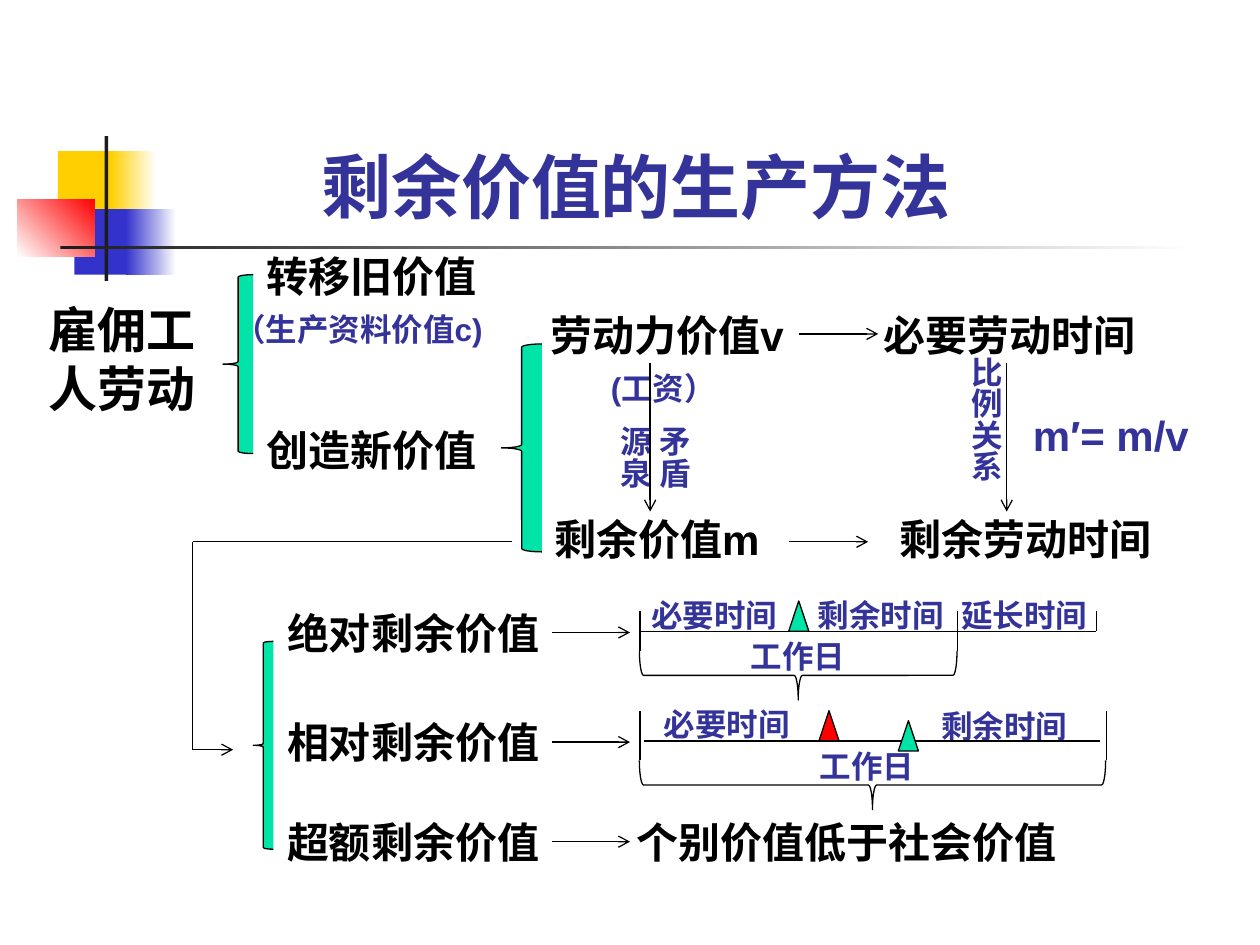
"""Build the slide on the methods of producing surplus value."""
from dataclasses import dataclass
from typing import NamedTuple, Optional

from lxml import etree
from pptx import Presentation
from pptx.dml.color import RGBColor
from pptx.enum import shapes, text
from pptx.oxml import ns
from pptx.util import Inches, Pt


class Style(NamedTuple):
    size: int
    color: str
    height: float


@dataclass(frozen=True)
class Theme:
    font: str = "Arial"
    ink: str = "000000"
    green: str = "00E4A8"
    red: str = "FF0000"
    gold: str = "FFCF01"
    blue: str = "3333CC"
    charcoal: str = "1C1C1C"
    white: str = "FFFFFF"
    line_width: float = 0.75
    title: Style = Style(40, "333399", 0.77)
    worker: Style = Style(28, "000000", 1.04)
    term: Style = Style(24, "000000", 0.5)
    formula: Style = Style(24, "333399", 0.5)
    note: Style = Style(18, "333399", 0.4)


THEME = Theme()


class Label(NamedTuple):
    wording: str
    left: float
    top: float
    width: float
    style: Style = THEME.term
    centered: bool = False
    vertical_height: Optional[float] = None


class Stroke(NamedTuple):
    x1: float
    y1: float
    x2: float
    y2: float
    arrow: bool = False


class Figure(NamedTuple):
    kind: shapes.MSO_SHAPE
    left: float
    top: float
    width: float
    height: float
    fill: Optional[str] = None
    rotation: int = 0


class Block(NamedTuple):
    left: float
    top: float
    width: float
    height: float
    start: str
    end: Optional[str] = None
    angle: int = 0


BLOCKS = [
    Block(0.46, 1.2, 0.48, 0.52, THEME.gold),
    Block(0.88, 1.2, 0.36, 0.52, THEME.gold, THEME.white),
    Block(0.59, 1.66, 0.46, 0.52, THEME.blue),
    Block(1, 1.66, 0.4, 0.52, THEME.blue, THEME.white),
    Block(0.14, 1.58, 0.61, 0.46, THEME.white, THEME.red, 45),
    Block(0.83, 1.08, 0.03, 1.15, THEME.charcoal),
    Block(0.48, 1.95, 9, 0.03, THEME.charcoal, THEME.white),
]
TITLE = Label("剩余价值的生产方法", 2.45, 1.09, 5.3, THEME.title)
LABELS = [
    Label("雇佣工\n人劳动", 0.29, 2.33, 1.42, THEME.worker),
    Label("转移旧价值", 2.02, 1.94, 1.92),
    Label("（生产资料价值c)", 1.76, 2.41, 2.3, THEME.note),
    Label("创造新价值", 2.02, 3.32, 1.92),
    Label("劳动力价值v", 4.27, 2.41, 2.13),
    Label("(工资）", 4.72, 2.88, 1.09, THEME.note, True),
    Label("剩余价值m", 4.3, 4.03, 1.91),
    Label("必要劳动时间", 6.91, 2.41, 2.22),
    Label("剩余劳动时间", 7.04, 4.03, 2.22),
    Label("源泉", 4.74, 3.28, 0.5, THEME.note, True, 0.71),
    Label("矛盾", 5.05, 3.28, 0.5, THEME.note, True, 0.71),
    Label("比例关系", 7.53, 2.73, 0.5, THEME.note, True, 1.42),
    Label("m′= m/v", 8.1, 3.2, 1.53, THEME.formula),
    Label("个别价值低于社会价值", 4.95, 6.43, 3.56),
    Label("必要时间", 5.07, 4.68, 1.25, THEME.note),
    Label("剩余时间", 6.39, 4.68, 1.22, THEME.note),
    Label("延长时间", 7.53, 4.68, 1.22, THEME.note),
    Label("工作日", 5.86, 5.01, 0.97, THEME.note),
    Label("必要时间", 5.17, 5.55, 1.25, THEME.note),
    Label("剩余时间", 7.37, 5.56, 1.22, THEME.note),
    Label("工作日", 6.41, 5.88, 0.97, THEME.note),
]
METHODS = [
    Label(kind + "剩余价值", 2.18, top, 2.2)
    for kind, top in (("绝对", 4.77), ("相对", 5.64), ("超额", 6.43))
]
STROKES = [
    *(Stroke(x, 2.88, x, 4.06, True) for x in (5.16, 7.99)),
    Stroke(6.34, 2.65, 6.97, 2.65, True),
    Stroke(6.26, 4.3, 6.89, 4.3, True),
    Stroke(4.06, 4.3, 1.53, 4.3),
    Stroke(1.53, 4.3, 1.53, 5.95),
    Stroke(1.53, 5.95, 1.85, 5.95, True),
    Stroke(5.08, 5.01, 8.7, 5.01),
    *(Stroke(x, 4.85, x, 5.17) for x in (5.08, 7.6)),
    Stroke(8.7, 4.85, 8.7, 5.01),
    Stroke(5.11, 5.88, 8.73, 5.88),
    *(Stroke(x, 5.64, x, 6.03) for x in (5.08, 8.78)),
]
BRACE = shapes.MSO_SHAPE.LEFT_BRACE
TRIANGLE = shapes.MSO_SHAPE.ISOSCELES_TRIANGLE
FIGURES = [
    Figure(BRACE, 1.77, 2.18, 0.24, 1.42, THEME.green),
    Figure(BRACE, 3.98, 2.73, 0.32, 1.65, THEME.green),
    Figure(BRACE, 2.01, 5.09, 0.16, 1.65, THEME.green),
    Figure(BRACE, 6.14, 4.1, 0.39, 2.52, rotation=270),
    Figure(BRACE, 6.73, 4.38, 0.39, 3.7, rotation=270),
    Figure(TRIANGLE, 6.26, 4.77, 0.16, 0.24, THEME.green),
    Figure(TRIANGLE, 6.5, 5.64, 0.16, 0.24, THEME.red),
    Figure(TRIANGLE, 7.13, 5.72, 0.16, 0.24, THEME.green),
]


def rgb(color: str) -> RGBColor:
    """Turn a hex string into a colour."""
    return RGBColor.from_string(color)


def write_label(holder, label: Label) -> None:
    """Place a text holder and format its wording."""
    holder.left, holder.top = Inches(label.left), Inches(label.top)
    holder.width = Inches(label.width)
    holder.height = Inches(label.vertical_height or label.style.height)
    frame = holder.text_frame
    frame.text = label.wording
    frame.word_wrap = label.vertical_height is not None
    frame.auto_size = text.MSO_AUTO_SIZE.NONE
    frame.vertical_anchor = text.MSO_ANCHOR.TOP
    side, end = (0.05, 0.1) if label.vertical_height else (0.1, 0.05)
    frame.margin_left = frame.margin_right = Inches(side)
    frame.margin_top = frame.margin_bottom = Inches(end)
    if label.vertical_height:
        frame._txBody.bodyPr.set("vert", "eaVert")
    for paragraph in frame.paragraphs:
        paragraph.alignment = text.PP_ALIGN.CENTER if label.centered else text.PP_ALIGN.LEFT
        for run in paragraph.runs:
            run.font.name, run.font.bold = THEME.font, True
            run.font.size = Pt(label.style.size)
            run.font.color.rgb = rgb(label.style.color)


def add_label(slide, label: Label):
    """Add a text box for a label."""
    holder = slide.shapes.add_textbox(0, 0, 0, 0)
    write_label(holder, label)
    return holder


def add_stroke(slide, stroke: Stroke):
    """Add a thin line, with an arrowhead if asked."""
    ends = (Inches(value) for value in stroke[:4])
    connector = slide.shapes.add_connector(shapes.MSO_CONNECTOR.STRAIGHT, *ends)
    connector.line.color.rgb = rgb(THEME.ink)
    connector.line.width = Pt(THEME.line_width)
    if stroke.arrow:
        tail = etree.SubElement(connector.line._get_or_add_ln(), ns.qn("a:tailEnd"))
        tail.set("type", "arrow")
    etree.SubElement(connector._element.spPr, ns.qn("a:effectLst"))
    return connector


def add_figure(slide, figure: Figure) -> None:
    """Add an outlined brace or marker."""
    outline = slide.shapes.add_shape(figure.kind, *map(Inches, figure[1:5]))
    outline.shadow.inherit = False
    outline.rotation = figure.rotation
    outline.line.color.rgb = rgb(THEME.ink)
    outline.line.width = Pt(THEME.line_width)
    if figure.fill:
        outline.fill.solid()
        outline.fill.fore_color.rgb = rgb(figure.fill)
    else:
        outline.fill.background()


def add_block(slide, block: Block) -> None:
    """Add a borderless block in a solid colour or a fade."""
    area = slide.shapes.add_shape(shapes.MSO_SHAPE.RECTANGLE, *map(Inches, block[:4]))
    area.shadow.inherit = False
    area.line.fill.background()
    if block.end:
        area.fill.gradient()
        area.fill.gradient_angle = block.angle
        for stop, color, position in zip(area.fill.gradient_stops, (block.start, block.end), (0, 1)):
            stop.color.rgb, stop.position = rgb(color), position
    else:
        area.fill.solid()
        area.fill.fore_color.rgb = rgb(block.start)


def main() -> None:
    """Build and save the slide."""
    deck = Presentation()
    deck.slide_width, deck.slide_height = Inches(10), Inches(7.5)
    slide = deck.slides.add_slide(deck.slide_layouts[5])
    for block in BLOCKS:
        add_block(slide, block)
    write_label(slide.shapes.title, TITLE)
    for label in LABELS:
        add_label(slide, label)
    for stroke in STROKES:
        add_stroke(slide, stroke)
    for method in METHODS:
        middle = method.top + method.style.height / 2
        arrow = add_stroke(slide, Stroke(4.38, middle, 5, middle, True))
        arrow.begin_connect(add_label(slide, method), 3)
    for figure in FIGURES:
        add_figure(slide, figure)
    deck.save("out.pptx")


if __name__ == "__main__":
    main()
